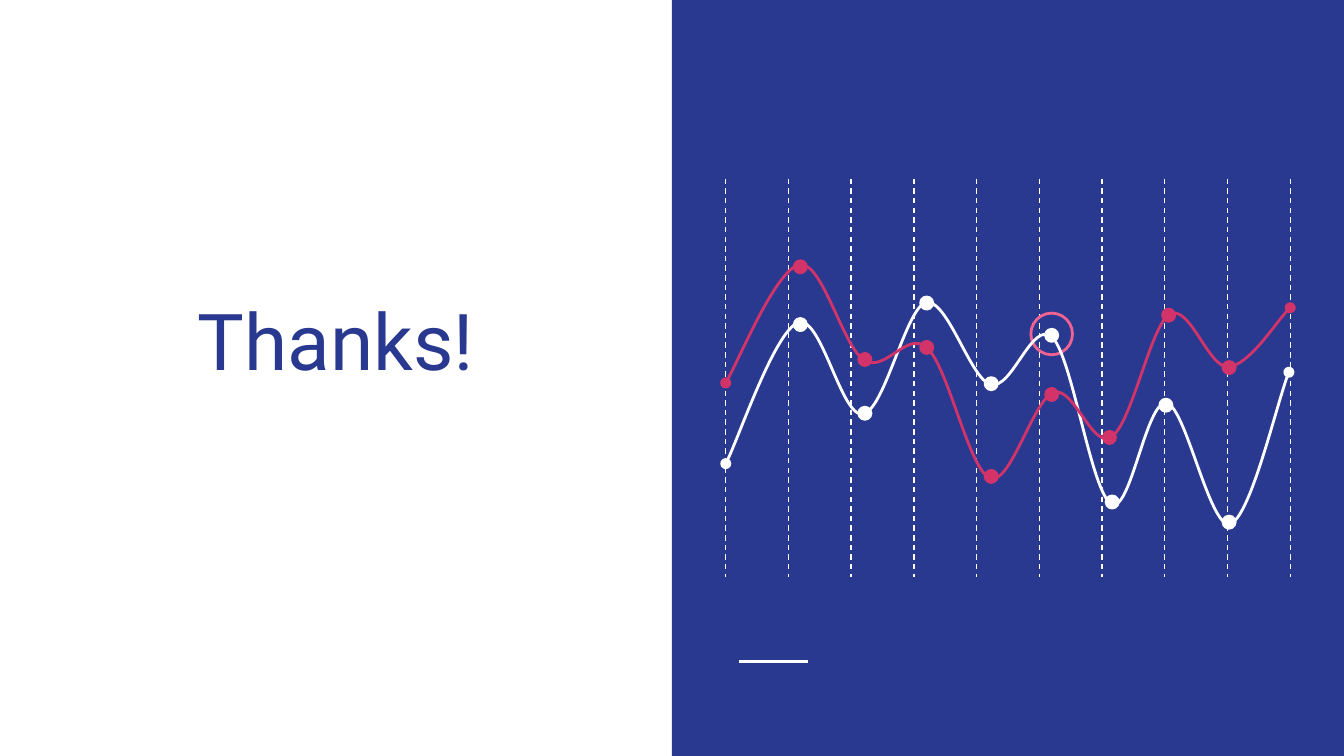
from lxml import etree
from pptx import Presentation
from pptx.dml.color import RGBColor
from pptx.enum.dml import MSO_LINE
from pptx.enum.shapes import MSO_CONNECTOR, MSO_SHAPE
from pptx.enum.text import MSO_ANCHOR, PP_ALIGN
from pptx.oxml.ns import qn
from pptx.util import Inches, Pt

STRAIGHT, DASH = MSO_CONNECTOR.STRAIGHT, MSO_LINE.DASH
RECTANGLE, OVAL = MSO_SHAPE.RECTANGLE, MSO_SHAPE.OVAL
BOTTOM, CENTER = MSO_ANCHOR.BOTTOM, PP_ALIGN.CENTER

NAVY = RGBColor(0x2A, 0x39, 0x90)
WHITE = RGBColor(0xFF, 0xFF, 0xFF)
CRIMSON = RGBColor(0xD2, 0x33, 0x69)
PINK = RGBColor(0xF0, 0x62, 0x92)

# Widescreen page, 16 to 9
PAGE_WIDTH = 10
PAGE_HEIGHT = PAGE_WIDTH * 9 / 16
DOT_SIZE = 0.09

# Curves: start, then two handles and a knot per segment, in inches from the panel corner
WHITE_CURVE = [
    (0.4, 3.45),
    (0.49, 3.28), (0.77, 2.46), (0.94, 2.4),
    (1.11, 2.34), (1.26, 3.11), (1.42, 3.08),
    (1.58, 3.06), (1.74, 2.29), (1.89, 2.25),
    (2.05, 2.22), (2.22, 2.82), (2.37, 2.86),
    (2.53, 2.91), (2.68, 2.37), (2.83, 2.51),
    (2.98, 2.66), (3.12, 3.67), (3.27, 3.75),
    (3.41, 3.83), (3.53, 2.97), (3.68, 3),
    (3.82, 3.02), (4, 3.93), (4.15, 3.9),
    (4.3, 3.86), (4.51, 2.96), (4.59, 2.77),
]
CRIMSON_CURVE = [
    (0.4, 2.85),
    (0.49, 2.7), (0.78, 2), (0.95, 1.97),
    (1.12, 1.94), (1.27, 2.58), (1.43, 2.68),
    (1.59, 2.78), (1.75, 2.45), (1.9, 2.59),
    (2.06, 2.74), (2.21, 3.5), (2.37, 3.56),
    (2.52, 3.61), (2.69, 2.97), (2.84, 2.92),
    (2.99, 2.87), (3.13, 3.35), (3.27, 3.25),
    (3.42, 3.16), (3.56, 2.43), (3.7, 2.34),
    (3.85, 2.25), (3.99, 2.74), (4.14, 2.73),
    (4.29, 2.72), (4.52, 2.36), (4.6, 2.29),
]

# Top left corners of the dots, from the panel corner
WHITE_DOTS = [(0.91, 2.37), (1.39, 3.03), (1.85, 2.21), (2.33, 2.81),
              (2.78, 2.45), (3.23, 3.69), (3.63, 2.97), (4.1, 3.84)]
CRIMSON_DOTS = [(0.91, 1.94), (1.39, 2.63), (1.85, 2.54), (2.33, 3.5),
                (2.78, 2.89), (3.21, 3.21), (3.65, 2.3), (4.1, 2.69)]


def add_line(page, start, end, weight, dash=None):
    line = page.shapes.add_connector(STRAIGHT, *map(Inches, start + end))
    line.line.color.rgb = WHITE
    line.line.width = Pt(weight)
    if dash:
        line.line.dash_style = dash
    etree.SubElement(line._element.spPr, qn("a:effectLst"))


def paint(shape, fill=None, outline=None):
    shape.shadow.inherit = False
    if fill is None:
        shape.fill.background()
    else:
        shape.fill.solid()
        shape.fill.fore_color.rgb = fill
    if outline is None:
        shape.line.fill.background()
    else:
        shape.line.color.rgb = outline
        shape.line.width = Pt(1.5)


def add_shape(page, kind, box, fill=None, outline=None):
    paint(page.shapes.add_shape(kind, *map(Inches, box)), fill, outline)


def add_curve(page, points, color):
    start, *rest = [(Inches(x), Inches(y)) for x, y in points]
    builder = page.shapes.build_freeform(*start)
    builder.add_line_segments(rest, close=False)
    curve = builder.convert_to_shape()
    paint(curve, outline=color)
    # Turn each three straight steps into one cubic segment
    steps = list(curve._element.iter(qn("a:lnTo")))
    for index in range(0, len(steps), 3):
        bend = etree.Element(qn("a:cubicBezTo"))
        steps[index].addprevious(bend)
        for step in steps[index:index + 3]:
            bend.append(step[0])
            step.getparent().remove(step)
    outline = curve._element.spPr.find(qn("a:ln"))
    for end in ("a:headEnd", "a:tailEnd"):
        etree.SubElement(outline, qn(end), type="oval")


def add_series(page, left, top, points, dots, color):
    add_curve(page, [(left + x, top + y) for x, y in points], color)
    for x, y in dots:
        box = (left + x, top + y, DOT_SIZE, DOT_SIZE)
        add_shape(page, OVAL, box, color, color)


def add_title(page, left, top, width, height):
    box = page.shapes.add_textbox(*map(Inches, (left, top, width, height)))
    frame = box.text_frame
    frame.word_wrap = True
    frame.vertical_anchor = BOTTOM
    frame.margin_left = frame.margin_right = Inches(0.1)
    frame.margin_top = frame.margin_bottom = Inches(0.1)
    para = frame.paragraphs[0]
    para.text = "Thanks!"
    para.alignment = CENTER
    para.font.name = "Roboto"
    para.font.size = Pt(42)
    para.font.color.rgb = NAVY


def add_graph_panel(page, left, top, width, height):
    add_shape(page, RECTANGLE, (left, top, width, height), NAVY)
    add_line(page, (left + 0.5, top + 4.92), (left + 1.01, top + 4.92), 1.5)
    # Ten evenly spaced grid lines
    for index in range(10):
        x = left + 0.4 + index * 4.2 / 9
        add_line(page, (x, top + 1.33), (x, top + 4.29), 0.75, DASH)
    # Highlight ring, then the two series
    add_shape(page, OVAL, (left + 2.67, top + 2.33, 0.31, 0.31), outline=PINK)
    add_series(page, left, top, WHITE_CURVE, WHITE_DOTS, WHITE)
    add_series(page, left, top, CRIMSON_CURVE, CRIMSON_DOTS, CRIMSON)


deck = Presentation()
deck.slide_width, deck.slide_height = Inches(PAGE_WIDTH), Inches(PAGE_HEIGHT)
page = deck.slides.add_slide(deck.slide_layouts[6])
add_graph_panel(page, PAGE_WIDTH / 2, 0, PAGE_WIDTH / 2, PAGE_HEIGHT)
add_title(page, 0.29, 1.26, 4.42, 1.71)
deck.save("out.pptx")
